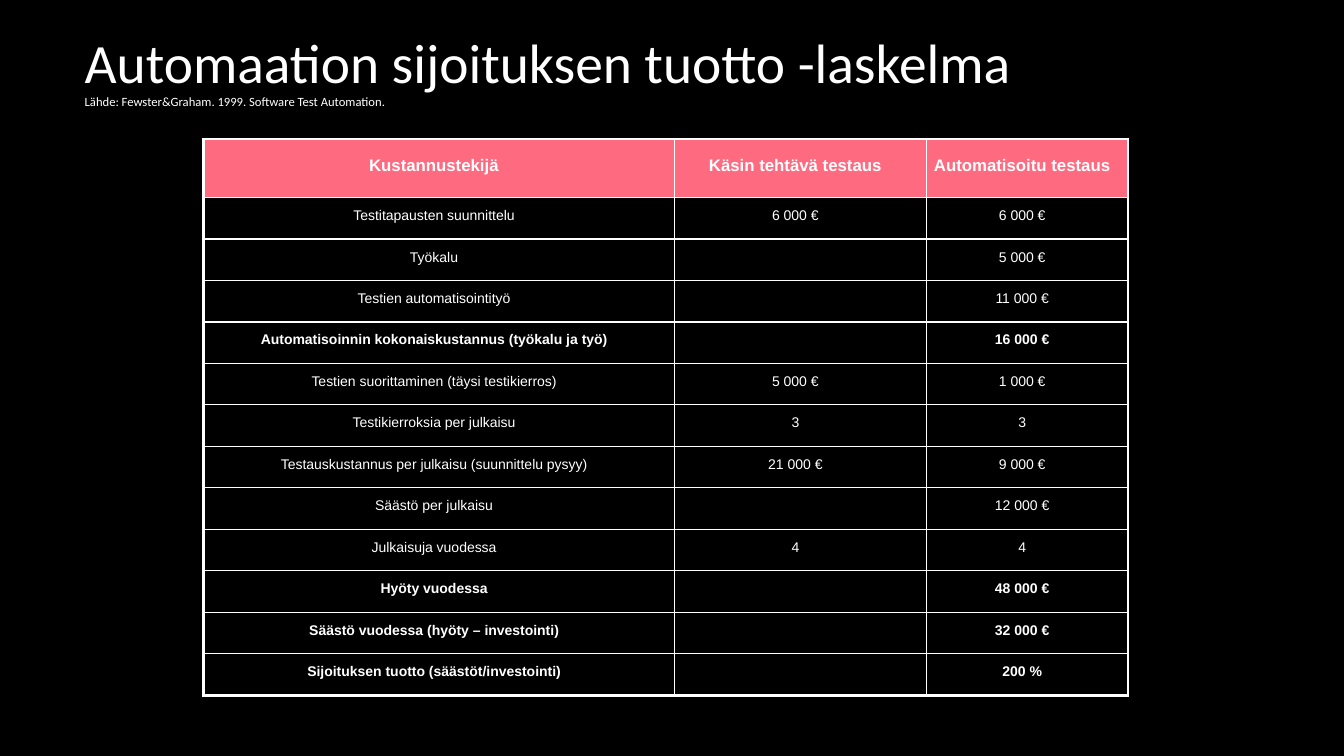
from copy import deepcopy
from dataclasses import dataclass

from lxml import etree
from pptx import Presentation
from pptx.dml.color import RGBColor
from pptx.enum.text import MSO_ANCHOR, MSO_AUTO_SIZE, PP_ALIGN
from pptx.oxml.ns import qn
from pptx.util import Inches, Pt

MIDDLE = MSO_ANCHOR.MIDDLE
NO_FIT = MSO_AUTO_SIZE.NONE
LEFT, CENTER = PP_ALIGN.LEFT, PP_ALIGN.CENTER
WIDTH, HEIGHT = Inches(13.33), Inches(7.5)


@dataclass(frozen=True)
class Theme:
    back: RGBColor = RGBColor(0, 0, 0)
    ink: RGBColor = RGBColor(255, 255, 255)
    accent: RGBColor = RGBColor(0xFE, 0x6A, 0x80)
    title_font: str = "Calibri"
    table_font: str = "Arial"
    title: float = 39.6
    source: float = 9
    head: float = 12
    body: float = 10
    frame: float = 2.25
    rule: float = 1


@dataclass(frozen=True)
class Row:
    label: str
    manual: str
    auto: str
    bold: bool = False


THEME = Theme()
HEAD = Row("Kustannustekijä", "Käsin tehtävä testaus", "Automatisoitu testaus", True)
BODY = [
    Row("Testitapausten suunnittelu", "6 000 €", "6 000 €"),
    Row("Työkalu", "", "5 000 €"),
    Row("Testien automatisointityö", "", "11 000 €"),
    Row("Automatisoinnin kokonaiskustannus (työkalu ja työ)", "", "16 000 €", True),
    Row("Testien suorittaminen (täysi testikierros)", "5 000 €", "1 000 €"),
    Row("Testikierroksia per julkaisu", "3", "3"),
    Row("Testauskustannus per julkaisu (suunnittelu pysyy)", "21 000 €", "9 000 €"),
    Row("Säästö per julkaisu", "", "12 000 €"),
    Row("Julkaisuja vuodessa", "4", "4"),
    Row("Hyöty vuodessa", "", "48 000 €", True),
    Row("Säästö vuodessa (hyöty – investointi)", "", "32 000 €", True),
    Row("Sijoituksen tuotto (säästöt/investointi)", "", "200 %", True),
]
# Shares of the slide's width and height, in percent
COLS = (35.03, 18.75, 15)
ROWS = (7.73,) + (5.49,) * len(BODY)


def across(share: float) -> int:
    return round(WIDTH * share / 100)


def down(share: float) -> int:
    return round(HEIGHT * share / 100)


def assign(target, values: dict) -> None:
    for name, value in values.items():
        setattr(target, name, value)


def style(font, face: str, size: float, bold: bool) -> None:
    assign(font, {"name": face, "size": Pt(size), "bold": bold})
    font.color.rgb = THEME.ink


def add_title(slide, heading: str, source: str) -> None:
    title = slide.shapes.title
    assign(title, {"left": across(5.55), "top": down(5.73),
                   "width": across(88.97), "height": down(7.6)})
    frame = title.text_frame
    assign(frame, {"vertical_anchor": MIDDLE, "word_wrap": True, "auto_size": NO_FIT})
    para = frame.paragraphs[0]
    assign(para, {"alignment": LEFT, "line_spacing": 0.9})
    top = para.add_run()
    top.text = heading
    style(top.font, THEME.title_font, THEME.title, False)
    para.add_line_break()
    para._p[-1].append(deepcopy(top._r.rPr))
    low = para.add_run()
    low.text = source
    style(low.font, THEME.title_font, THEME.source, False)


def add_edges(cell, outer: dict[str, bool]) -> None:
    """Draw the four borders, thick where the side lies on the table's frame."""
    props = cell._tc.get_or_add_tcPr()
    for side, thick in outer.items():
        width = Pt(THEME.frame if thick else THEME.rule)
        line = etree.SubElement(props, qn(f"a:ln{side}"), w=str(width))
        fill = etree.SubElement(line, qn("a:solidFill"))
        etree.SubElement(fill, qn("a:srgbClr"), val=str(THEME.ink))


def fill_cell(cell, text: str, size: float, bold: bool, color: RGBColor) -> None:
    assign(cell, {"margin_left": 0, "margin_top": 0, "margin_right": Inches(0.1),
                  "margin_bottom": Inches(0.05), "vertical_anchor": MIDDLE})
    cell.fill.solid()
    cell.fill.fore_color.rgb = color
    if text:
        para = cell.text_frame.paragraphs[0]
        assign(para, {"alignment": CENTER, "space_after": Pt(size * 0.2)})
        run = para.add_run()
        run.text = text
        style(run.font, THEME.table_font, size, bold)


def add_costs(slide) -> None:
    table = slide.shapes.add_table(
        len(ROWS), len(COLS), across(15.15), down(18.4),
        across(sum(COLS)), down(sum(ROWS))).table
    assign(table, {"first_row": False, "horz_banding": False})
    for col, share in zip(table.columns, COLS):
        col.width = across(share)
    for r, (row, share) in enumerate(zip([HEAD, *BODY], ROWS)):
        table.rows[r].height = down(share)
        size, color = (THEME.body, THEME.back) if r else (THEME.head, THEME.accent)
        for c, text in enumerate((row.label, row.manual, row.auto)):
            cell = table.cell(r, c)
            add_edges(cell, {"L": c == 0, "R": c == len(COLS) - 1,
                             "T": r == 0, "B": r == len(ROWS) - 1})
            fill_cell(cell, text, size, row.bold, color)


def main() -> None:
    deck = Presentation()
    assign(deck, {"slide_width": WIDTH, "slide_height": HEIGHT})
    slide = deck.slides.add_slide(deck.slide_layouts.get_by_name("Title Only"))
    back = slide.background.fill
    back.solid()
    back.fore_color.rgb = THEME.back
    add_title(slide, "Automaation sijoituksen tuotto -laskelma",
              "Lähde: Fewster&Graham. 1999. Software Test Automation.")
    add_costs(slide)
    deck.save("out.pptx")


if __name__ == "__main__":
    main()
